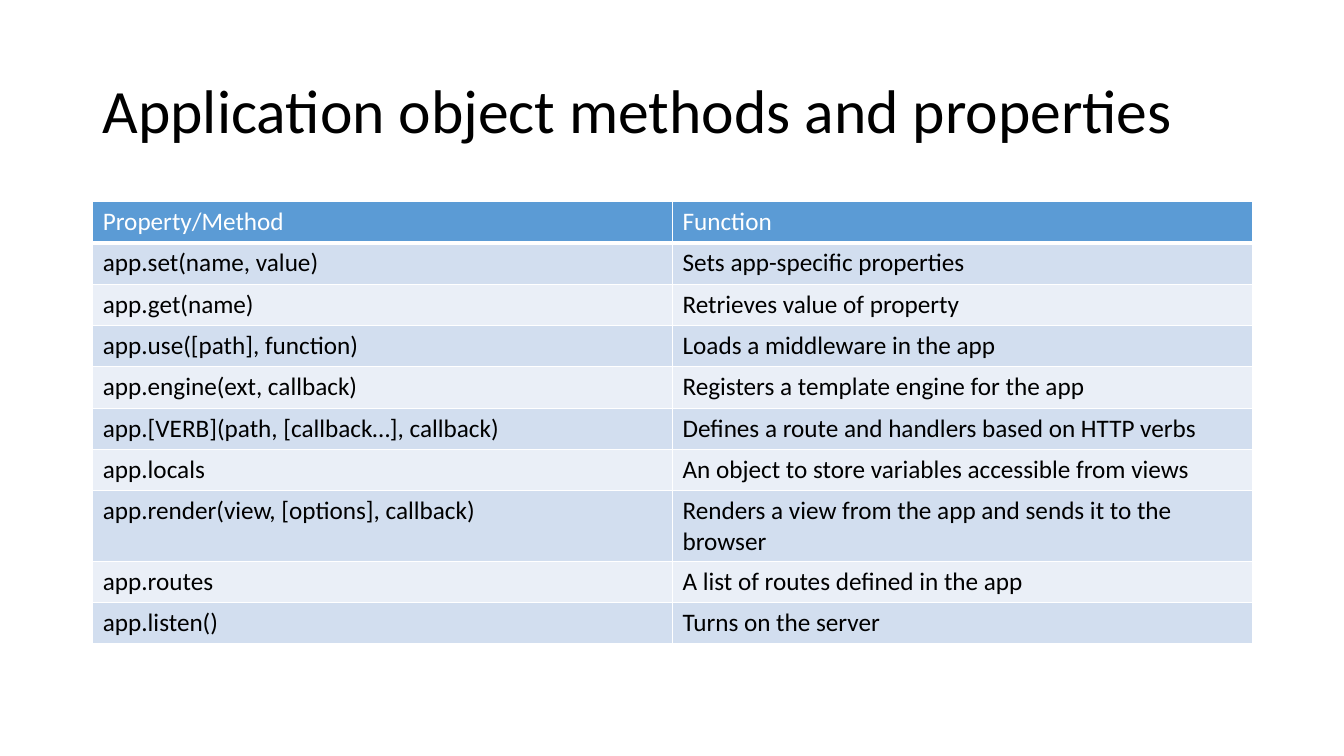
from typing import NamedTuple

from pptx import Presentation
from pptx.dml.color import RGBColor
from pptx.enum.text import MSO_ANCHOR
from pptx.oxml import parse_xml
from pptx.oxml.ns import nsdecls
from pptx.slide import Slide
from pptx.table import _Cell as Cell
from pptx.text.text import _Paragraph as Paragraph
from pptx.util import Inches, Pt

FONT = "Calibri"
BLACK = RGBColor(0x00, 0x00, 0x00)
WHITE = RGBColor(0xFF, 0xFF, 0xFF)
HEADER_BLUE = RGBColor(0x5B, 0x9B, 0xD5)
BANDS = (RGBColor(0xD2, 0xDE, 0xEF), RGBColor(0xEA, 0xEF, 0xF7))

LEFT, WIDTH = Inches(0.92), Inches(11.5)
TABLE_TOP, ROW_HEIGHT = Inches(2), Inches(0.41)


class Entry(NamedTuple):
    """One table row: an application member and what it does."""
    member: str
    function: str


class RowStyle(NamedTuple):
    """Colours and lower border width (points) of a table row."""
    fill: RGBColor
    text: RGBColor
    bottom: int


HEADER = Entry("Property/Method", "Function")
MEMBERS = (
    Entry("app.set(name, value)", "Sets app-specific properties"),
    Entry("app.get(name)", "Retrieves value of property"),
    Entry("app.use([path], function)", "Loads a middleware in the app"),
    Entry("app.engine(ext, callback)", "Registers a template engine for the app"),
    Entry("app.[VERB](path, [callback…], callback)",
          "Defines a route and handlers based on HTTP verbs"),
    Entry("app.locals", "An object to store variables accessible from views"),
    Entry("app.render(view, [options], callback)",
          "Renders a view from the app and sends it to the browser"),
    Entry("app.routes", "A list of routes defined in the app"),
    Entry("app.listen()", "Turns on the server"),
)


def write(para: Paragraph, text: str, size: int, color: RGBColor) -> None:
    """Fill a paragraph with text and format its runs."""
    para.text = text
    for span in para.runs:
        span.font.name = FONT
        span.font.size = Pt(size)
        span.font.bold = False
        span.font.color.rgb = color


def add_borders(cell: Cell, bottom: int) -> None:
    """Draw white borders, 1 pt except for the given bottom width."""
    properties = cell._tc.get_or_add_tcPr()
    for side, points in (("L", 1), ("R", 1), ("T", 1), ("B", bottom)):
        properties.append(parse_xml(
            f'<a:ln{side} {nsdecls("a")} w="{Pt(points)}"><a:solidFill>'
            f'<a:srgbClr val="{WHITE}"/></a:solidFill></a:ln{side}>'))


def style_cell(cell: Cell, text: str, style: RowStyle) -> None:
    """Write one cell with its borders and fill."""
    write(cell.text_frame.paragraphs[0], text, 18, style.text)
    add_borders(cell, style.bottom)
    cell.fill.solid()
    cell.fill.fore_color.rgb = style.fill


def add_title(page: Slide, text: str) -> None:
    """Add the vertically centred title."""
    box = page.shapes.add_textbox(LEFT, Inches(0.4), WIDTH, Inches(1.45))
    frame = box.text_frame
    frame.word_wrap = True
    frame.vertical_anchor = MSO_ANCHOR.MIDDLE
    para = frame.paragraphs[0]
    para.line_spacing = 0.9
    write(para, text, 44, BLACK)


def add_member_table(page: Slide) -> None:
    """Add the header row and the banded member rows."""
    entries = (HEADER, *MEMBERS)
    table = page.shapes.add_table(
        len(entries), len(HEADER), LEFT, TABLE_TOP, WIDTH,
        ROW_HEIGHT * len(entries)).table
    for index, entry in enumerate(entries):
        if index == 0:
            style = RowStyle(HEADER_BLUE, WHITE, 3)
        else:
            style = RowStyle(BANDS[(index - 1) % 2], BLACK, 1)
        for column, text in enumerate(entry):
            style_cell(table.cell(index, column), text, style)


deck = Presentation()
deck.slide_width, deck.slide_height = Inches(13.33), Inches(7.5)
page = deck.slides.add_slide(deck.slide_layouts[6])
add_title(page, "Application object methods and properties")
add_member_table(page)
deck.save("out.pptx")
